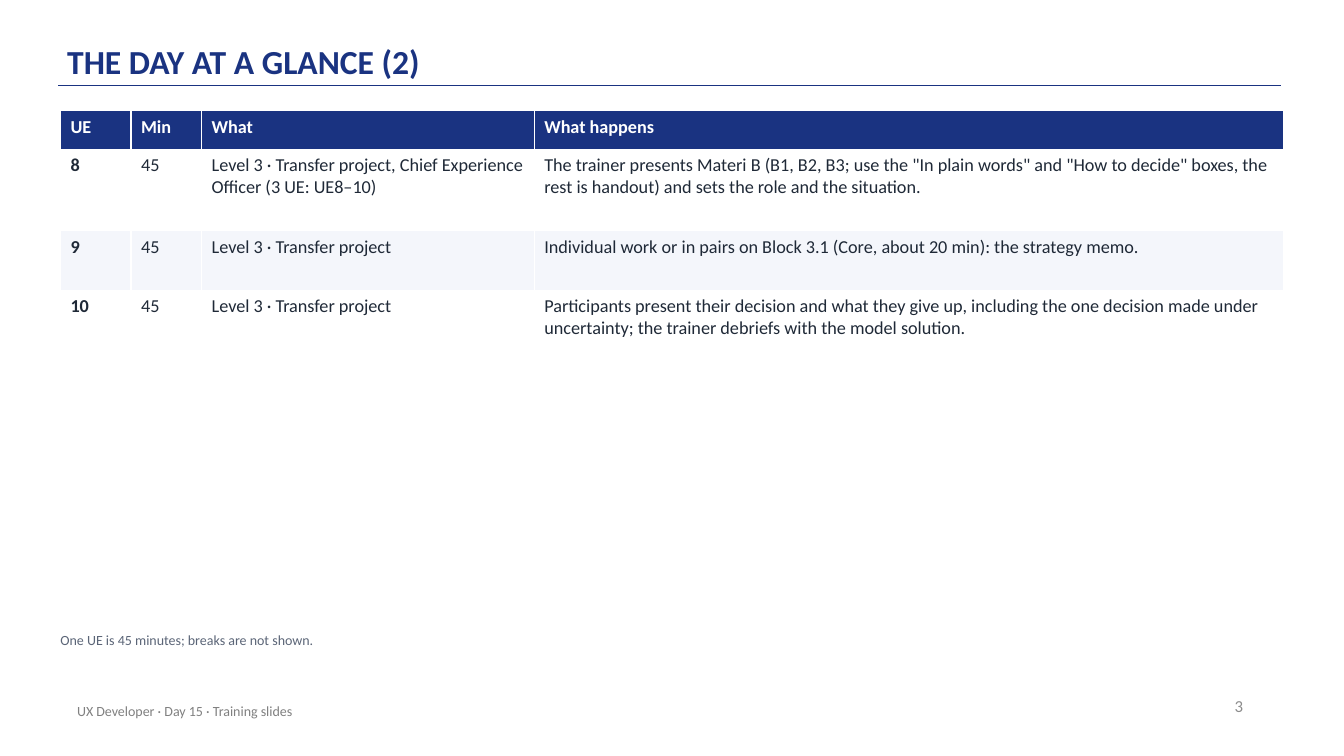
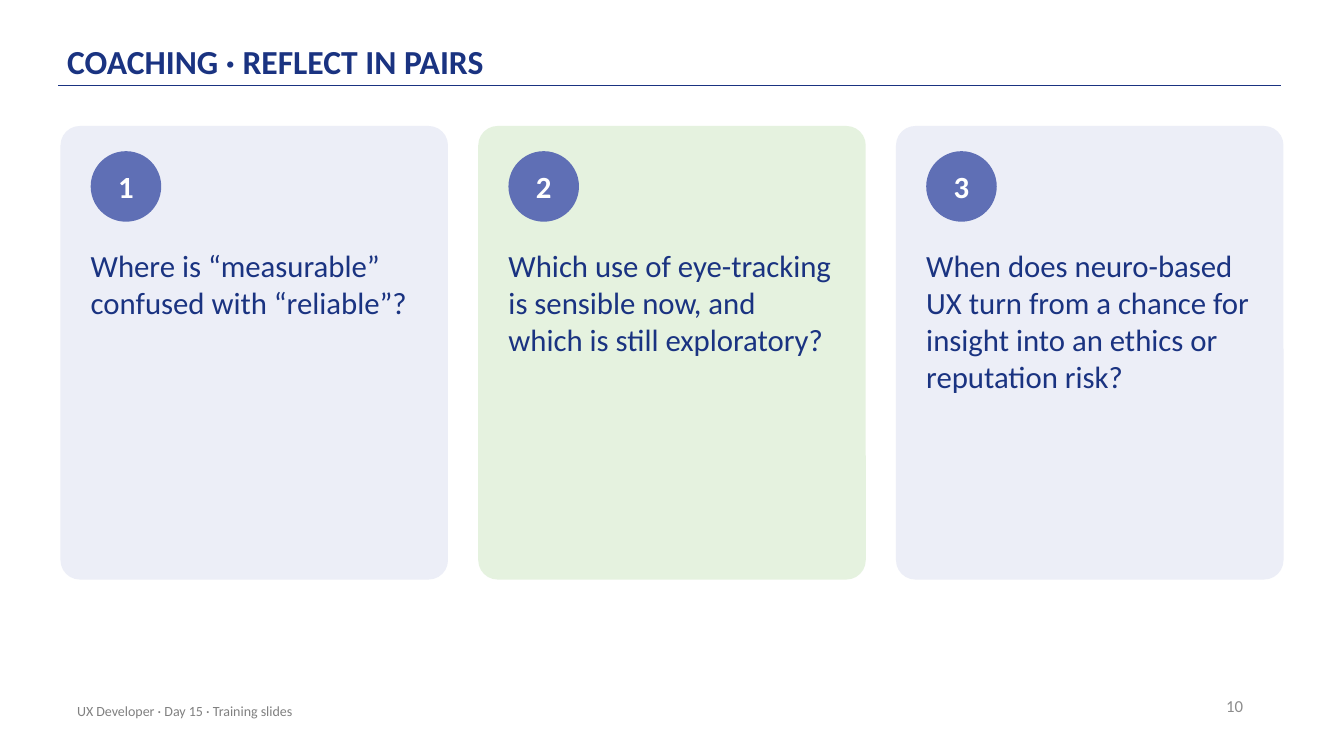
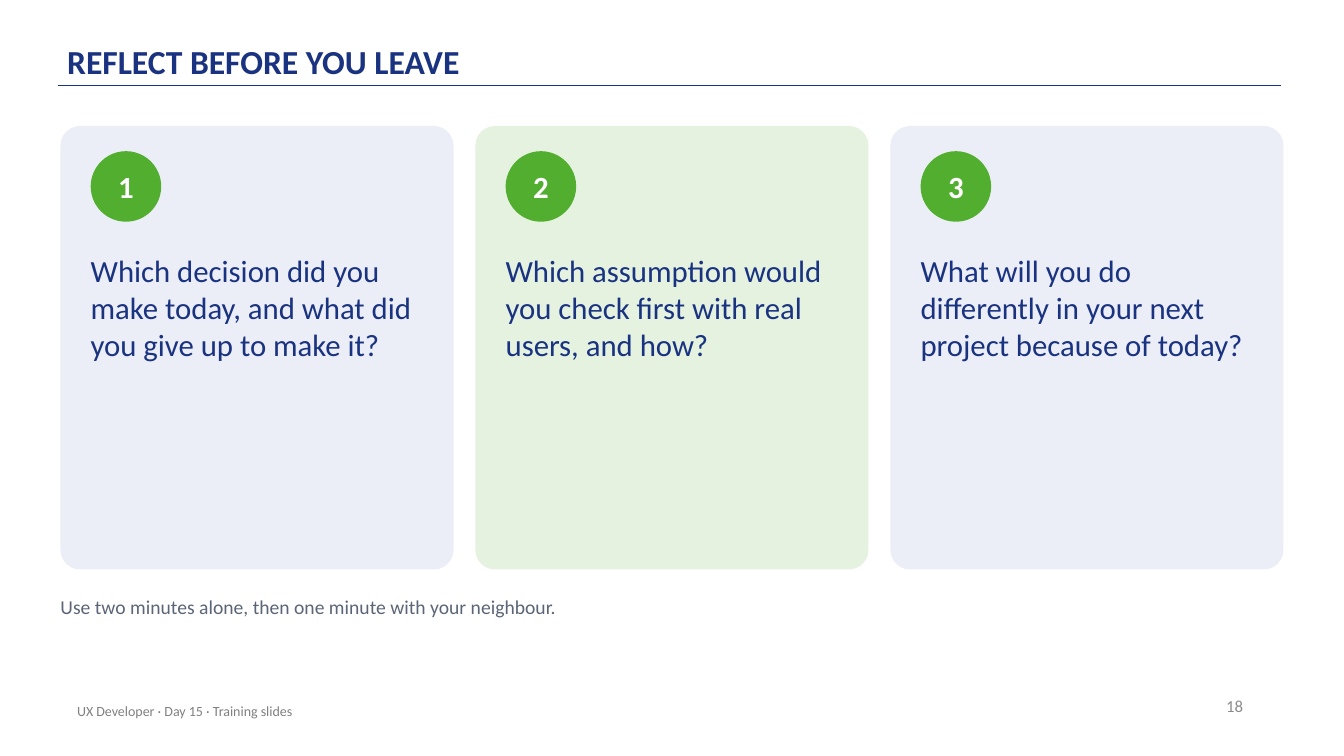
from dataclasses import dataclass

from lxml import etree
from pptx import Presentation
from pptx.dml.color import RGBColor
from pptx.enum.shapes import MSO_CONNECTOR, MSO_SHAPE
from pptx.enum.text import MSO_ANCHOR, PP_ALIGN
from pptx.oxml.ns import qn
from pptx.util import Pt

TOP, MIDDLE, BOTTOM = MSO_ANCHOR.TOP, MSO_ANCHOR.MIDDLE, MSO_ANCHOR.BOTTOM
LEFT, CENTER, RIGHT = PP_ALIGN.LEFT, PP_ALIGN.CENTER, PP_ALIGN.RIGHT
CARD, BADGE = MSO_SHAPE.ROUNDED_RECTANGLE, MSO_SHAPE.OVAL
STRAIGHT = MSO_CONNECTOR.STRAIGHT


@dataclass(frozen=True)
class Theme:
    font: str = "Calibri"
    navy: str = "1A3381"
    indigo: str = "5F6FB5"
    green: str = "51AE2F"
    pale_blue: str = "ECEEF7"
    pale_green: str = "E5F2DF"
    band: str = "F4F6FB"
    white: str = "FFFFFF"
    ink: str = "1F2937"
    slate: str = "5B6577"
    footer_grey: str = "808080"
    number_grey: str = "8C8C8C"
    title_size: float = 24
    card_size: float = 22
    hint_size: float = 14
    table_size: float = 13
    number_size: float = 12
    small_size: float = 10


THEME = Theme()
PAGE_WIDTH, PAGE_HEIGHT = 960, 540
MARGIN, CONTENT_WIDTH = 43.2, 873.6
NOTE_WIDTH = 871.2
DEFAULT_INSETS = (7.2, 3.6, 7.2, 3.6)
NO_INSETS = (0, 0, 0, 0)

# Content
FOOTER = "UX Developer · Day 15 · Training slides"

SCHEDULE = {
    "title": "THE DAY AT A GLANCE (2)",
    "number": 3,
    "columns": [50.4, 50.4, 237.6, 535],
    "row_heights": [27.4, 58.3, 42.5, 58.3],
    "rows": [
        ("UE", "Min", "What", "What happens"),
        ("8", "45", "Level 3 · Transfer project, Chief Experience Officer (3 UE: UE8–10)",
         'The trainer presents Materi B (B1, B2, B3; use the "In plain words" and '
         '"How to decide" boxes, the rest is handout) and sets the role and the situation.'),
        ("9", "45", "Level 3 · Transfer project",
         "Individual work or in pairs on Block 3.1 (Core, about 20 min): the strategy memo."),
        ("10", "45", "Level 3 · Transfer project",
         "Participants present their decision and what they give up, including the one "
         "decision made under uncertainty; the trainer debriefs with the model solution."),
    ],
    "note": "One UE is 45 minutes; breaks are not shown.",
}

COACHING = {
    "title": "COACHING · REFLECT IN PAIRS",
    "number": 10,
    "badge": THEME.indigo,
    "gap": 21.6,
    "card_height": 324,
    "text_top": 176.4,
    "questions": [
        "Where is “measurable” confused with “reliable”?",
        "Which use of eye-tracking is sensible now, and which is still exploratory?",
        "When does neuro-based UX turn from a chance for insight into an ethics or "
        "reputation risk?",
    ],
}

CLOSING = {
    "title": "REFLECT BEFORE YOU LEAVE",
    "number": 18,
    "badge": THEME.green,
    "gap": 15.6,
    "card_height": 316.8,
    "text_top": 180,
    "questions": [
        "Which decision did you make today, and what did you give up to make it?",
        "Which assumption would you check first with real users, and how?",
        "What will you do differently in your next project because of today?",
    ],
    "note": "Use two minutes alone, then one minute with your neighbour.",
}


# Drawing helpers
def color(code):
    return RGBColor.from_string(code)


def write(frame, text, size, ink, bold=False, align=LEFT):
    frame.word_wrap = True
    para = frame.paragraphs[0]
    para.alignment = align
    span = para.add_run()
    span.text = text
    span.font.name = THEME.font
    span.font.size = Pt(size)
    span.font.bold = bold
    span.font.color.rgb = color(ink)
    return para


def set_insets(frame, insets):
    (frame.margin_left, frame.margin_top,
     frame.margin_right, frame.margin_bottom) = map(Pt, insets)


def add_text(page, place, text, size, ink, bold=False, align=LEFT,
             anchor=TOP, insets=NO_INSETS):
    frame = page.shapes.add_textbox(*map(Pt, place)).text_frame
    set_insets(frame, insets)
    frame.vertical_anchor = anchor
    return write(frame, text, size, ink, bold, align)


def add_filled(page, kind, place, fill):
    shape = page.shapes.add_shape(kind, *map(Pt, place))
    shape.shadow.inherit = False
    shape.fill.solid()
    shape.fill.fore_color.rgb = color(fill)
    shape.line.fill.background()
    return shape


# Frame shared by all slides
def add_page(deck, content):
    page = deck.slides.add_slide(deck.slide_layouts[6])
    rule = page.shapes.add_connector(STRAIGHT, Pt(41.8), Pt(61.2), Pt(915.1), Pt(61.2))
    rule.line.color.rgb = color(THEME.navy)
    rule.line.width = Pt(1)
    etree.SubElement(rule._element.spPr, qn("a:effectLst"))

    title = add_text(page, (48, 8.6, 792, 52), content["title"], THEME.title_size,
                     THEME.navy, bold=True, anchor=BOTTOM, insets=(0, 2.2, 0, 2.2))
    title.line_spacing = 0.9
    add_text(page, (679, 489.6, 216, 28.8), str(content["number"]), THEME.number_size,
             THEME.number_grey, align=RIGHT, anchor=MIDDLE, insets=DEFAULT_INSETS)
    add_text(page, (48, 493.2, 482.4, 28.8), FOOTER, THEME.small_size,
             THEME.footer_grey, anchor=MIDDLE, insets=DEFAULT_INSETS)
    return page


# Slide with the timetable
def build_schedule(deck, content):
    page = add_page(deck, content)
    columns, heights, rows = content["columns"], content["row_heights"], content["rows"]
    place = (MARGIN, 79.2, sum(columns), sum(heights))
    table = page.shapes.add_table(len(rows), len(columns), *map(Pt, place)).table
    for column, width in zip(table.columns, columns):
        column.width = Pt(width)
    for r, (row, height) in enumerate(zip(rows, heights)):
        table.rows[r].height = Pt(height)
        header = r == 0
        fill = THEME.navy if header else THEME.white if r % 2 else THEME.band
        for c, text in enumerate(row):
            cell = table.cell(r, c)
            cell.fill.solid()
            cell.fill.fore_color.rgb = color(fill)
            write(cell.text_frame, text, THEME.table_size,
                  THEME.white if header else THEME.ink, bold=header or c == 0)
    add_text(page, (MARGIN, 451.4, NOTE_WIDTH, 21.6), content["note"],
             THEME.small_size, THEME.slate)


# Slides with numbered question cards
def build_cards(deck, content):
    page = add_page(deck, content)
    questions, gap, height = content["questions"], content["gap"], content["card_height"]
    card_top, padding, badge_size = 90, 21.6, 50.4
    width = (CONTENT_WIDTH - gap * (len(questions) - 1)) / len(questions)
    text_top = content["text_top"]
    for index, question in enumerate(questions):
        left = MARGIN + index * (width + gap)
        fill = THEME.pale_green if index % 2 else THEME.pale_blue
        card = add_filled(page, CARD, (left, card_top, width, height), fill)
        card.adjustments[0] = 0.05

        inner = left + padding
        badge = add_filled(page, BADGE, (inner, 108, badge_size, badge_size),
                           content["badge"])
        set_insets(badge.text_frame, NO_INSETS)
        badge.text_frame.vertical_anchor = MIDDLE
        write(badge.text_frame, str(index + 1), THEME.card_size, THEME.white,
              bold=True, align=CENTER)

        text_height = card_top + height - text_top - 14.4
        add_text(page, (inner, text_top, width - 2 * padding, text_height),
                 question, THEME.card_size, THEME.navy)
    if "note" in content:
        add_text(page, (MARGIN, 424.8, NOTE_WIDTH, 28.8), content["note"],
                 THEME.hint_size, THEME.slate)


def main():
    deck = Presentation()
    deck.slide_width, deck.slide_height = Pt(PAGE_WIDTH), Pt(PAGE_HEIGHT)
    build_schedule(deck, SCHEDULE)
    build_cards(deck, COACHING)
    build_cards(deck, CLOSING)
    deck.save("out.pptx")


if __name__ == "__main__":
    main()
